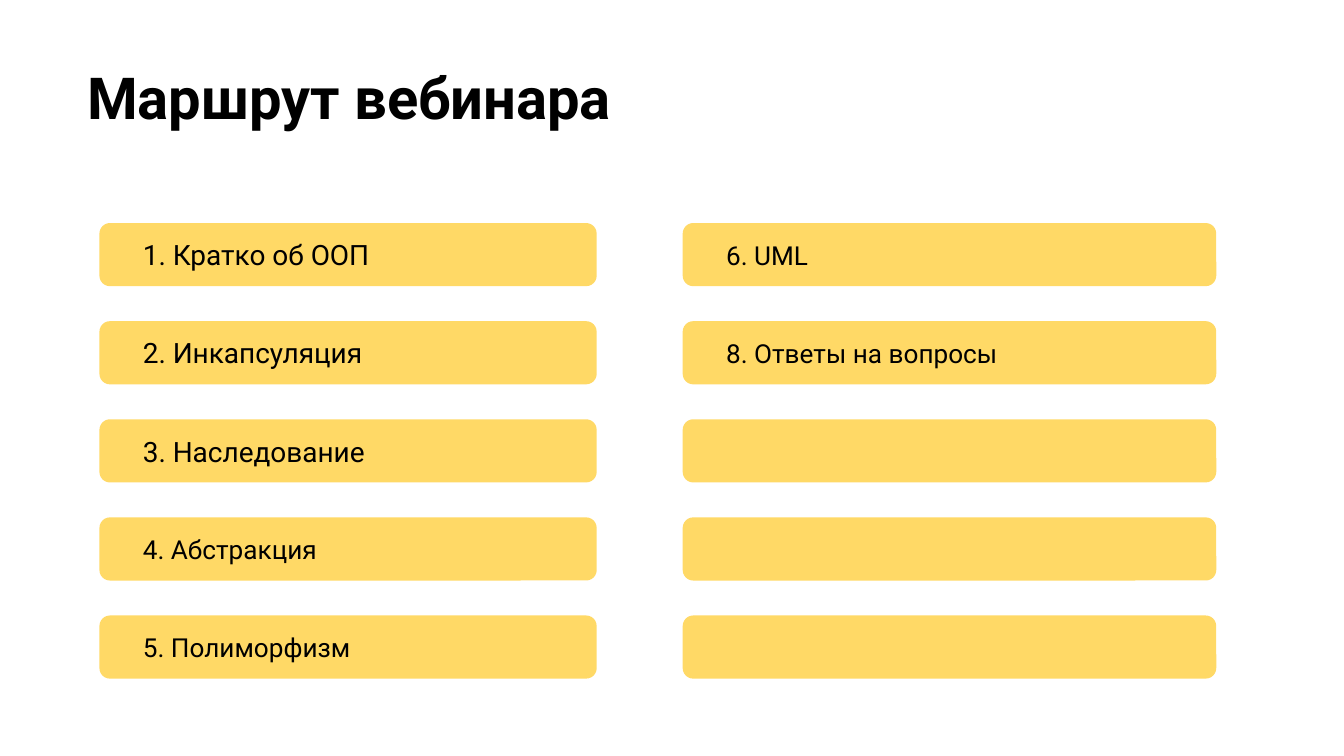
from pptx import Presentation
from pptx.dml.color import RGBColor
from pptx.enum.shapes import MSO_SHAPE as Shape
from pptx.enum.text import MSO_ANCHOR as Anchor, PP_ALIGN as Align
from pptx.util import Inches, Pt

FONT = "Roboto"
BLACK = "000000"
YELLOW = "FFD966"
ROW_PITCH, BAR_H = 0.73, 0.47
LEFT_TOPICS = [
    ("1. Кратко об ООП", 15),
    ("2. Инкапсуляция", 15),
    ("3. Наследование", 15),
    ("4. Абстракция", 14),
    ("5. Полиморфизм", 14),
]
RIGHT_TOPICS = [("6. UML", 14), ("8. Ответы на вопросы", 14)] + [("", 14)] * 3


def color(value):
    return RGBColor.from_string(value)


def write(tf, text, size, inset, anchor, bold=False):
    tf.word_wrap = True
    tf.vertical_anchor = anchor
    tf.margin_left = tf.margin_right = Inches(inset)
    tf.margin_top = tf.margin_bottom = Inches(0.1)
    p = tf.paragraphs[0]
    p.text = text
    p.alignment = Align.LEFT
    p.font.name = FONT
    p.font.size = Pt(size)
    p.font.bold = bold
    p.font.color.rgb = color(BLACK)


def add_title(s, x, y, w, h, text):
    box = s.shapes.add_textbox(Inches(x), Inches(y), Inches(w), Inches(h))
    write(box.text_frame, text, 31, 0.1, Anchor.TOP, bold=True)


def add_bar(s, x, y, w, h, text, size):
    sp = s.shapes.add_shape(Shape.ROUNDED_RECTANGLE,
                            Inches(x), Inches(y), Inches(w), Inches(h))
    sp.adjustments[0] = 0.167
    sp.shadow.inherit = False
    sp.fill.solid()
    sp.fill.fore_color.rgb = color(YELLOW)
    sp.line.fill.background()
    if text:
        write(sp.text_frame, text, size, 0.3, Anchor.MIDDLE)


def add_topic_column(s, x, y, w, topics):
    for row, (text, size) in enumerate(topics):
        add_bar(s, x, y + row * ROW_PITCH, w, BAR_H, text, size)


def main():
    prs = Presentation()
    prs.slide_width = Inches(10)
    prs.slide_height = prs.slide_width * 9 // 16
    s = prs.slides.add_slide(prs.slide_layouts[6])
    add_title(s, 0.55, 0.36, 9.32, 1.07, "Маршрут вебинара")
    add_topic_column(s, 0.74, 1.66, 3.7, LEFT_TOPICS)
    add_topic_column(s, 5.08, 1.66, 3.97, RIGHT_TOPICS)
    prs.save("out.pptx")


if __name__ == "__main__":
    main()
